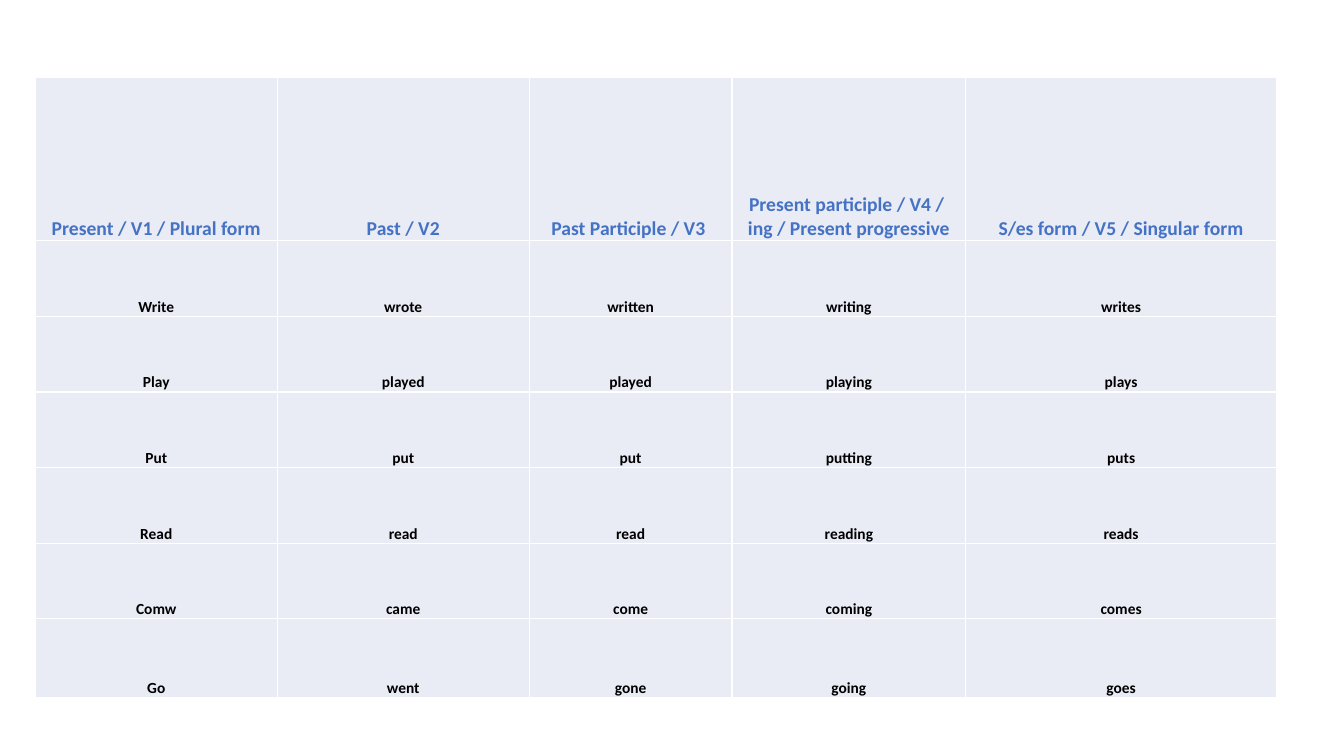
from lxml import etree
from pptx import Presentation
from pptx.dml.color import RGBColor
from pptx.enum import text
from pptx.oxml import ns
from pptx.util import Inches, Pt

HEADINGS = (
    "Present / V1 / Plural form",
    "Past / V2",
    "Past Participle / V3 ",
    "Present participle / V4 / \ning / Present progressive",
    "S/es form / V5 / Singular form",
)
VERBS = [
    ("Write", "wrote", "written", "writing", "writes"),
    ("Play", "played", "played", "playing", "plays"),
    ("Put", "put", "put", "putting", "puts"),
    ("Read", "read", "read", "reading", "reads"),
    ("Comw", "came", "come", "coming", "comes"),
    ("Go", "went", "gone", "going", "goes"),
]
COLORS = {"heading": "4472C4", "verb": "000000", "cell": "E9EBF5", "border": "FFFFFF"}
FONT = "Calibri"
LEFT, TOP = 0.35, 0.77
COLUMN_WIDTHS = [2.4, 2.5, 2.01, 2.32, 3.08]
ROW_HEIGHTS = [1.62] + [0.75] * 5 + [0.78]


def add_borders(cell):
    """Draw a thin line on all four sides; call before the cell is filled."""
    properties = cell._tc.get_or_add_tcPr()
    for side in ("a:lnL", "a:lnR", "a:lnT", "a:lnB"):
        line = etree.SubElement(properties, ns.qn(side), w=str(Pt(1)))
        fill = etree.SubElement(line, ns.qn("a:solidFill"))
        etree.SubElement(fill, ns.qn("a:srgbClr"), val=COLORS["border"])


def fill_cell(cell, wording, size, color):
    add_borders(cell)
    cell.fill.solid()
    cell.fill.fore_color.rgb = RGBColor.from_string(COLORS["cell"])
    cell.margin_left = cell.margin_right = cell.margin_top = Inches(0.01)
    cell.margin_bottom = 0
    cell.vertical_anchor = text.MSO_ANCHOR.BOTTOM
    paragraph = cell.text_frame.paragraphs[0]
    paragraph.text = wording
    paragraph.alignment = text.PP_ALIGN.CENTER
    paragraph.font.name = FONT
    paragraph.font.size = Pt(size)
    paragraph.font.bold = True
    paragraph.font.color.rgb = RGBColor.from_string(color)


def add_verb_table(slide):
    rows = [HEADINGS] + VERBS
    table = slide.shapes.add_table(
        len(rows), len(HEADINGS), Inches(LEFT), Inches(TOP),
        Inches(sum(COLUMN_WIDTHS)), Inches(sum(ROW_HEIGHTS)),
    ).table
    table.first_row = table.horz_banding = False
    for column, width in zip(table.columns, COLUMN_WIDTHS):
        column.width = Inches(width)
    for row, height, wordings in zip(table.rows, ROW_HEIGHTS, rows):
        row.height = Inches(height)
        size, color = (14, COLORS["heading"]) if wordings is HEADINGS else (11, COLORS["verb"])
        for cell, wording in zip(row.cells, wordings):
            fill_cell(cell, wording, size, color)


def main():
    presentation = Presentation()
    presentation.slide_width = Inches(13.33)
    presentation.slide_height = Inches(7.5)
    slide = presentation.slides.add_slide(presentation.slide_layouts[6])
    add_verb_table(slide)
    presentation.save("out.pptx")


if __name__ == "__main__":
    main()
